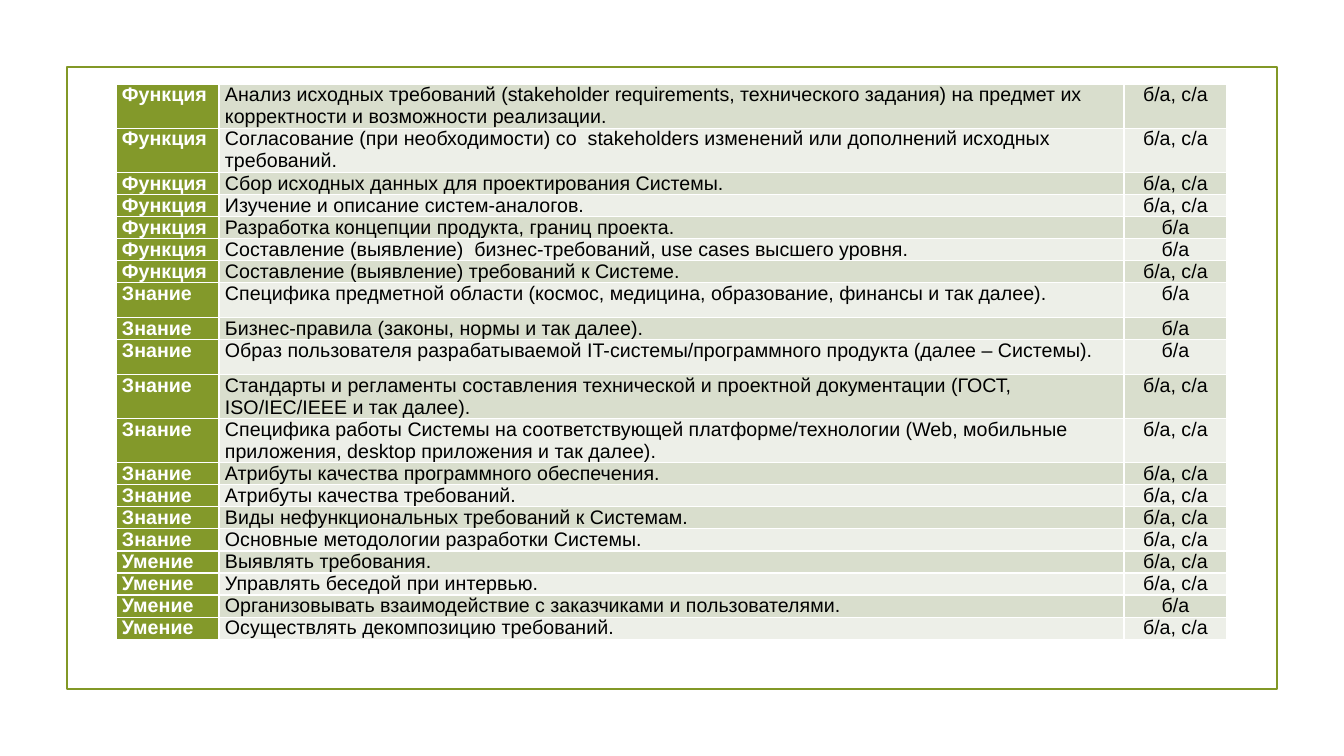
"""Build a slide with a table of analyst functions, knowledge and skills."""
from lxml import etree
from pptx import Presentation
from pptx.dml.color import RGBColor
from pptx.enum.shapes import MSO_SHAPE
from pptx.enum.text import PP_ALIGN
from pptx.oxml.ns import qn
from pptx.util import Pt

RECT = MSO_SHAPE.RECTANGLE
LEFT, MID = PP_ALIGN.LEFT, PP_ALIGN.CENTER
SCALE = 12192000 / 1344
COLORS = {"frame": "829826", "label": "83992A", "dark": "D9DECD",
          "light": "EDEFE8", "white": "FFFFFF", "black": "000000"}
BOTH, ONE = "б/а, с/а", "б/а"
LINE, TALL, TWO = 22, 35, 44
WIDTHS = (103, 905, 103)
GROUPS = {
    "Функция": [
        ("Анализ исходных требований (stakeholder requirements, технического задания) "
         "на предмет их корректности и возможности реализации.", BOTH, TWO),
        ("Согласование (при необходимости) со  stakeholders изменений или дополнений "
         "исходных требований.", BOTH, TWO),
        ("Сбор исходных данных для проектирования Системы.", BOTH, LINE),
        ("Изучение и описание систем-аналогов.", BOTH, LINE),
        ("Разработка концепции продукта, границ проекта.", ONE, LINE),
        ("Составление (выявление)  бизнес-требований, use cases высшего уровня.",
         ONE, LINE),
        ("Составление (выявление) требований к Системе.", BOTH, LINE),
    ],
    "Знание": [
        ("Специфика предметной области (космос, медицина, образование, финансы "
         "и так далее).", ONE, TALL),
        ("Бизнес-правила (законы, нормы и так далее).", ONE, LINE),
        ("Образ пользователя разрабатываемой IT-системы/программного продукта "
         "(далее – Системы).", ONE, TALL),
        ("Стандарты и регламенты составления технической и проектной документации "
         "(ГОСТ, ISO/IEC/IEEE и так далее).", BOTH, TWO),
        ("Специфика работы Системы на соответствующей платформе/технологии "
         "(Web, мобильные приложения, desktop приложения и так далее).", BOTH, TWO),
        ("Атрибуты качества программного обеспечения.", BOTH, LINE),
        ("Атрибуты качества требований.", BOTH, LINE),
        ("Виды нефункциональных требований к Системам.", BOTH, LINE),
        ("Основные методологии разработки Системы.", BOTH, LINE),
    ],
    "Умение": [
        ("Выявлять требования.", BOTH, LINE),
        ("Управлять беседой при интервью.", BOTH, LINE),
        ("Организовывать взаимодействие с заказчиками и пользователями.", ONE, LINE),
        ("Осуществлять декомпозицию требований.", BOTH, LINE),
    ],
}


def px(n):
    return round(n * SCALE)


def tint(name):
    return RGBColor.from_string(COLORS[name])


def write(frame, text, font="Arial", size=14, color="black", bold=False, align=LEFT):
    para = frame.paragraphs[0]
    para.alignment = align
    run = para.add_run()
    run.text = text
    run.font.name = font
    run.font.size = Pt(size)
    run.font.bold = bold
    run.font.color.rgb = tint(color)


class Page:
    def __init__(self, slide, inset=6, rule=1):
        self.slide = slide
        self.inset = inset
        self.rule = rule

    def frame(self, x, y, w, h, color, width):
        box = self.slide.shapes.add_shape(RECT, px(x), px(y), px(w), px(h))
        box.shadow.inherit = False
        box.fill.background()
        box.line.color.rgb = tint(color)
        box.line.width = Pt(width)

    def border(self, cell, color):
        props = cell._tc.get_or_add_tcPr()
        for side in ("a:lnL", "a:lnR", "a:lnT", "a:lnB"):
            line = etree.SubElement(props, qn(side), w=str(Pt(self.rule)))
            fill = etree.SubElement(line, qn("a:solidFill"))
            etree.SubElement(fill, qn("a:srgbClr"), val=COLORS[color])

    def cell(self, cell, text, fill, **style):
        cell.margin_left = cell.margin_right = px(self.inset)
        cell.margin_top = cell.margin_bottom = 0
        self.border(cell, "white")
        cell.fill.solid()
        cell.fill.fore_color.rgb = tint(fill)
        write(cell.text_frame, text, **style)

    def table(self, x, y, widths, rows):
        high = sum(row[-1] for row in rows)
        table = self.slide.shapes.add_table(
            len(rows), len(widths), px(x), px(y), px(sum(widths)), px(high)).table
        table.first_row = table.horz_banding = False
        for col, width in zip(table.columns, widths):
            col.width = px(width)
        for i, (label, text, who, height) in enumerate(rows):
            table.rows[i].height = px(height)
            band = "light" if i % 2 else "dark"
            self.cell(table.cell(i, 0), label, "label", color="white", bold=True)
            self.cell(table.cell(i, 1), text, band)
            self.cell(table.cell(i, 2), who, band, align=MID)


def main():
    deck = Presentation()
    deck.slide_width, deck.slide_height = px(1344), px(756)
    page = Page(deck.slides.add_slide(deck.slide_layouts[6]))
    page.frame(67, 67, 1210, 622, "frame", 1.25)
    rows = [(label, *item) for label, items in GROUPS.items() for item in items]
    page.table(116, 84, WIDTHS, rows)
    deck.save("out.pptx")


if __name__ == "__main__":
    main()
